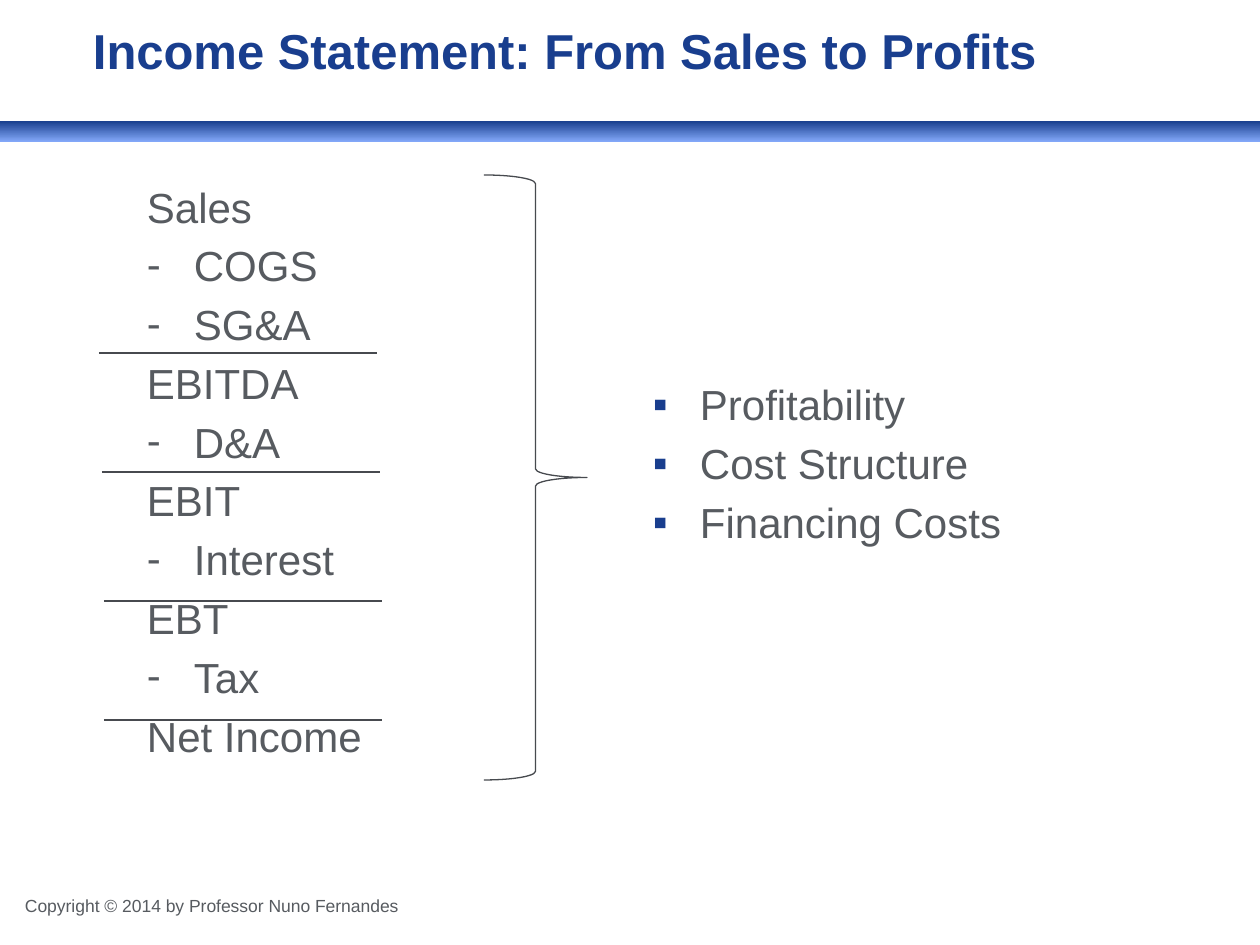
"""Build the slide that leads from sales to profits."""
import pptx
import pptx.dml.color
import pptx.enum.shapes
import pptx.oxml
import pptx.oxml.ns
import pptx.util

THEME = {
    "font": "Arial", "blue": "193E8E", "text": "575B60", "rule": "474A4F",
    "band": ("183E8D", "84A9FA"), "title": 28, "body": 24, "footer": 10, "line": 0.75,
}
SCALE = 914400 / 126
NS = pptx.oxml.ns.nsdecls("a")
rgb = pptx.dml.color.RGBColor.from_string


def px(*values):
    return [pptx.util.Emu(round(v * SCALE)) for v in values]


def add_text(box, margins, rows, size, color, bold=False, spaced=False):
    tf = slide.shapes.add_textbox(*px(*box)).text_frame
    tf.word_wrap = True
    for side, value in zip(("left", "top", "right", "bottom"), px(*margins)):
        setattr(tf, f"margin_{side}", value)
    for i, (bullet, bullet_color, text) in enumerate(rows):
        p = tf.paragraphs[0] if i == 0 else tf.add_paragraph()
        r = p.add_run()
        r.text = text
        formats = {"name": THEME["font"], "size": pptx.util.Pt(size), "bold": bold}
        for name, value in formats.items():
            setattr(r.font, name, value)
        r.font.color.rgb = rgb(color)
        pPr = p._p.get_or_add_pPr()
        parts = []
        if spaced:
            parts.append(f'<a:spcBef {NS}><a:spcPct val="20000"/></a:spcBef>')
        if bullet:
            indent = px(47)[0]
            pPr.set("marL", str(indent))
            pPr.set("indent", str(-indent))
            parts += [
                f'<a:buClr {NS}><a:srgbClr val="{bullet_color}"/></a:buClr>',
                f'<a:buFont {NS} typeface="{THEME["font"]}"/>',
                f'<a:buChar {NS} char="{bullet}"/>',
            ]
        for part in parts:
            pPr.append(pptx.oxml.parse_xml(part))


prs = pptx.Presentation()
prs.slide_width, prs.slide_height = px(1260, 945)
slide = prs.slides.add_slide(prs.slide_layouts[6])

band = slide.shapes.add_shape(pptx.enum.shapes.MSO_SHAPE.RECTANGLE, *px(0, 121, 1260, 21))
band.shadow.inherit = False
band.line.fill.background()
band.fill.gradient()
band.fill.gradient_angle = 270
for stop, position, color in zip(band.fill.gradient_stops, (0, 1), THEME["band"]):
    stop.position = position
    stop.color.rgb = rgb(color)

add_text((25, 895, 820, 28), (0, 0, 13, 6),
         [(None, None, "Copyright © 2014 by Professor Nuno Fernandes")],
         THEME["footer"], THEME["text"])
add_text((83, 21, 1082, 105), (10, 0, 13, 6),
         [(None, None, "Income Statement: From Sales to Profits")],
         THEME["title"], THEME["blue"], bold=True)

statement = [
    ("Sales", ["COGS", "SG&A"]),
    ("EBITDA", ["D&A"]),
    ("EBIT", ["Interest"]),
    ("EBT", ["Tax"]),
    ("Net Income", []),
]
rows = []
for result, deductions in statement:
    rows.append((None, None, result))
    rows += [("-", THEME["text"], item) for item in deductions]
add_text((134, 175, 438, 624), (13, 6, 13, 6), rows,
         THEME["body"], THEME["text"], spaced=True)

topics = ["Profitability", "Cost Structure", "Financing Costs"]
add_text((640, 373, 557, 252), (13, 6, 13, 6),
         [("▪", THEME["blue"], topic) for topic in topics],
         THEME["body"], THEME["text"], spaced=True)

rules = []
for x, y in ((99, 353), (102, 472), (104, 601), (104, 720)):
    rule = slide.shapes.add_connector(
        pptx.enum.shapes.MSO_CONNECTOR.STRAIGHT, *px(x, y, x + 278, y))
    rule._element.spPr.append(pptx.oxml.parse_xml(f"<a:effectLst {NS}/>"))
    rules.append(rule)

brace = slide.shapes.add_shape(
    pptx.enum.shapes.MSO_SHAPE.RIGHT_BRACE, *px(484, 175, 103, 605))
brace.fill.background()
for sp in (*rules, brace):
    sp.line.color.rgb = rgb(THEME["rule"])
    sp.line.width = pptx.util.Pt(THEME["line"])
brace.shadow.inherit = False

prs.save("out.pptx")
